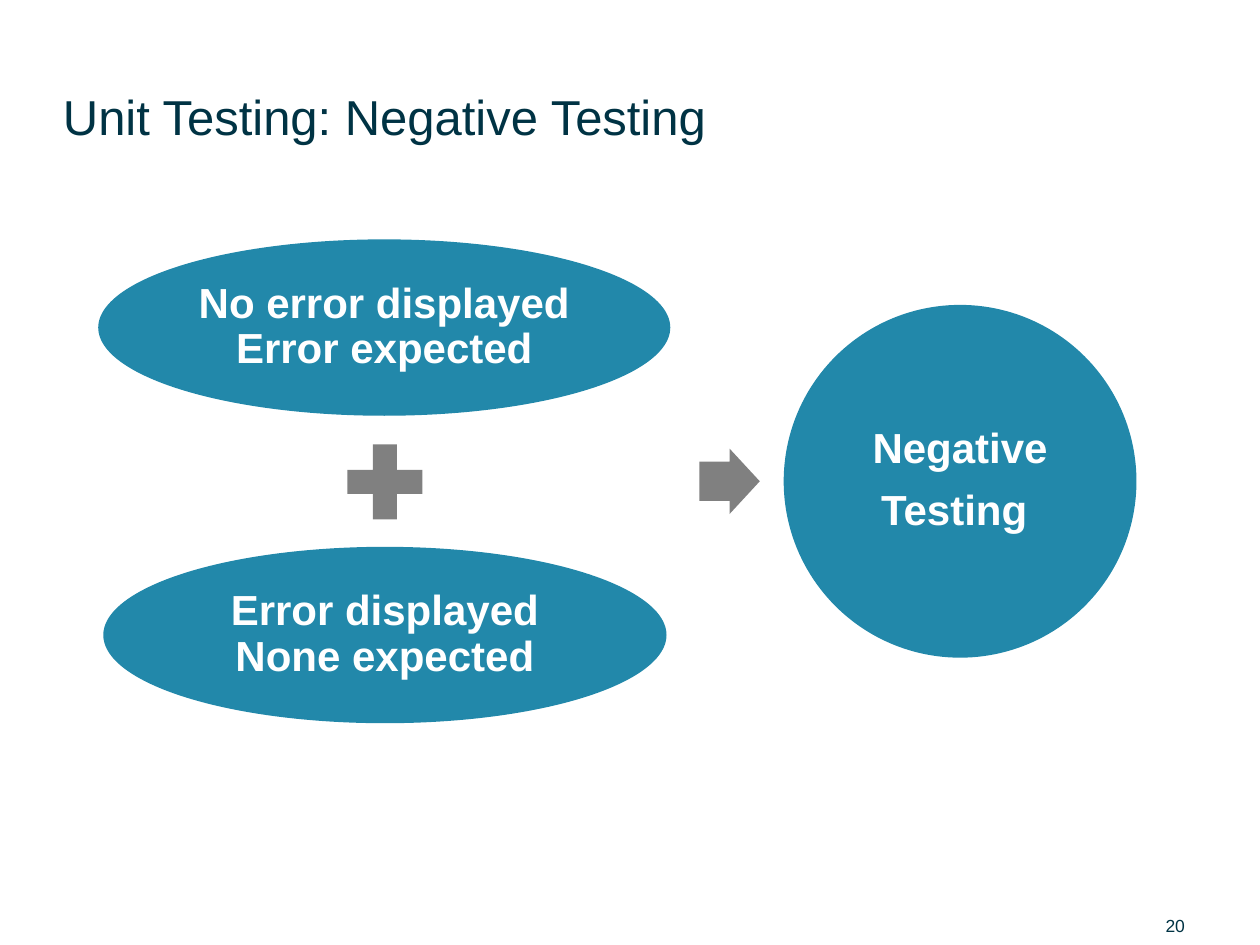
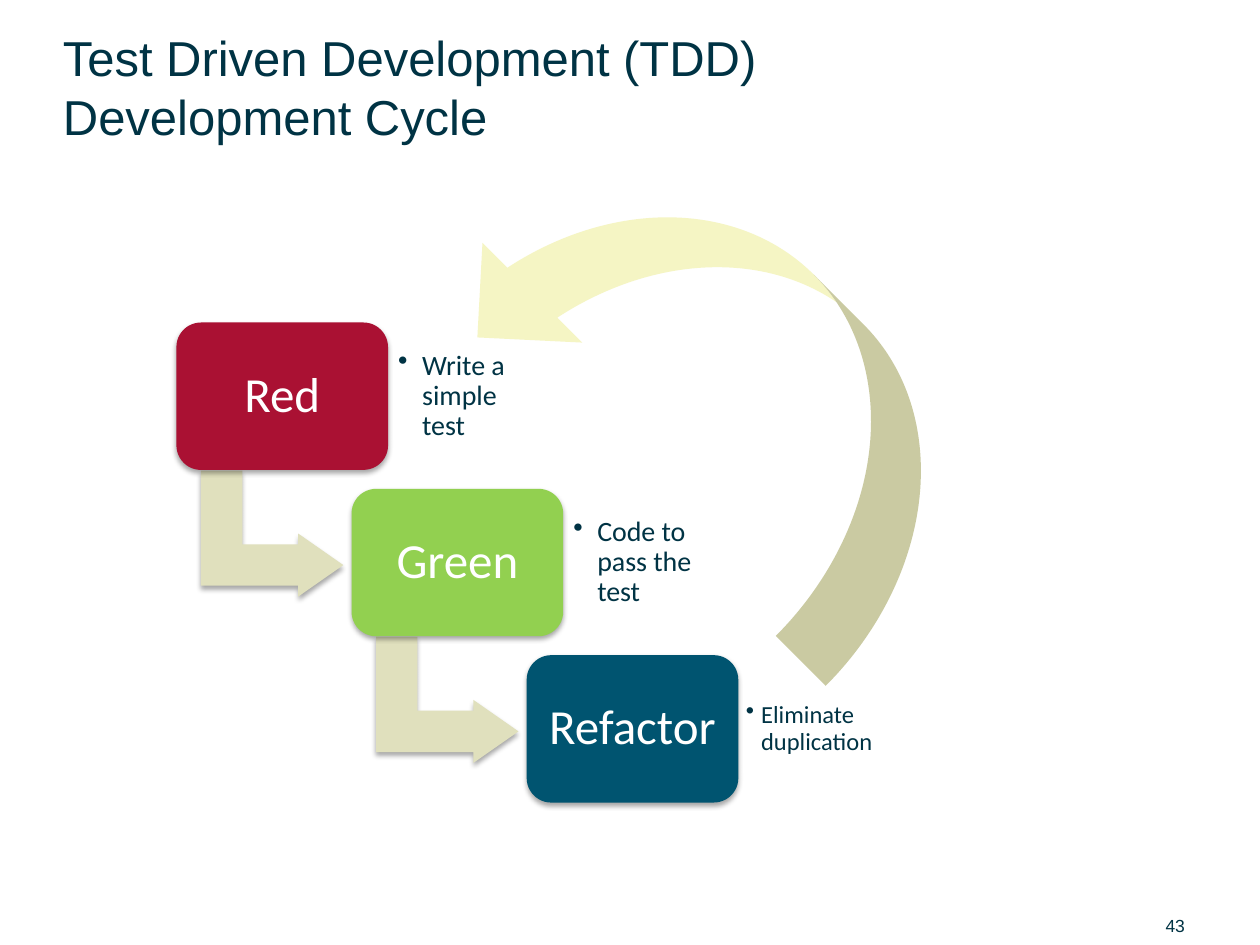
import pptx
import pptx.dml.color
import pptx.enum.shapes
import pptx.enum.text
import pptx.oxml.ns
import pptx.util
from lxml import etree

Inches = pptx.util.Inches
Pt = pptx.util.Pt
RGBColor = pptx.dml.color.RGBColor
Shape = pptx.enum.shapes.MSO_SHAPE
Align = pptx.enum.text.PP_ALIGN
Anchor = pptx.enum.text.MSO_ANCHOR
qn = pptx.oxml.ns.qn

INK = RGBColor(0x00, 0x33, 0x44)
WHITE = RGBColor(0xFF, 0xFF, 0xFF)
TEAL = RGBColor(0x22, 0x88, 0xAA)
GRAY = RGBColor(0x80, 0x80, 0x80)
SAND = RGBColor(0xE0, 0xE0, 0xBD)
CREAM = RGBColor(0xF4, 0xF4, 0xBC)
RED = RGBColor(0xAA, 0x11, 0x33)
GREEN = RGBColor(0x92, 0xD0, 0x50)
BLUE = RGBColor(0x00, 0x54, 0x70)


class Deck:
    """Holds the presentation, its style and the slide being filled."""

    heading_font = "Arial"
    diagram_font = "Calibri"

    def __init__(self):
        self.presentation = pptx.Presentation()
        self.presentation.slide_width = Inches(10)
        self.presentation.slide_height = Inches(7.5)
        self.slide = None

    def start_slide(self, title, number):
        self.slide = self.presentation.slides.add_slide(self.presentation.slide_layouts[6])
        self.text_box(0.5, 0.2, 9, 0.95, [title], 28)
        self.text_box(9.25, 7.15, 0.69, 0.28, [number], 10)

    def set_text(self, shape, paragraphs, size, font, color, bold=False, align=Align.LEFT,
                 anchor=Anchor.MIDDLE, inset=0.0, line_spacing=None, space_after=0.0):
        """Fill the shape with paragraphs; a newline inside one becomes a line break."""
        frame = shape.text_frame
        frame.word_wrap = True
        frame.vertical_anchor = anchor
        frame.margin_left = frame.margin_right = Inches(inset)
        frame.margin_top = frame.margin_bottom = Inches(inset)
        for index, text in enumerate(paragraphs):
            paragraph = frame.add_paragraph() if index else frame.paragraphs[0]
            paragraph.alignment = align
            paragraph.space_after = Pt(space_after)
            if line_spacing:
                paragraph.line_spacing = line_spacing
            for line_index, line in enumerate(text.split("\n")):
                if line_index:
                    paragraph.add_line_break()
                run = paragraph.add_run()
                run.text = line
                run.font.name = font
                run.font.size = Pt(size)
                run.font.bold = bold
                run.font.color.rgb = color

    def text_box(self, left, top, width, height, paragraphs, size):
        box = self.slide.shapes.add_textbox(
            Inches(left), Inches(top), Inches(width), Inches(height))
        self.set_text(box, paragraphs, size, self.heading_font, INK, anchor=Anchor.BOTTOM)

    def bullet(self, left, top, width, height, text, size, indent, inset):
        box = self.slide.shapes.add_textbox(
            Inches(left), Inches(top), Inches(width), Inches(height))
        self.set_text(box, [text], size, self.diagram_font, INK, inset=inset,
                      line_spacing=0.9, space_after=2.5)
        properties = box.text_frame.paragraphs[0]._p.get_or_add_pPr()
        properties.set("marL", str(Inches(indent)))
        properties.set("indent", str(-Inches(indent)))
        etree.SubElement(properties, qn("a:buChar"), char="•")

    def shape(self, kind, left, top, width, height, fill, rotation=0, adjustments=()):
        shape = self.slide.shapes.add_shape(
            kind, Inches(left), Inches(top), Inches(width), Inches(height))
        shape.shadow.inherit = False
        shape.fill.solid()
        shape.fill.fore_color.rgb = fill
        shape.line.fill.background()
        shape.rotation = rotation
        for index, value in enumerate(adjustments):
            shape.adjustments[index] = value
        return shape

    def ellipse(self, left, top, width, height, paragraphs):
        ellipse = self.shape(Shape.OVAL, left, top, width, height, TEAL)
        self.set_text(ellipse, paragraphs, 24, self.heading_font, WHITE, bold=True,
                      align=Align.CENTER, inset=0.03, line_spacing=0.9, space_after=9.5)

    def step_box(self, left, top, width, height, text, fill):
        box = self.shape(Shape.ROUNDED_RECTANGLE, left, top, width, height, fill,
                         adjustments=[0.167])
        self.add_shadow(box)
        self.set_text(box, [text], 28, self.diagram_font, WHITE, align=Align.CENTER,
                      inset=0.1, line_spacing=0.9, space_after=11)

    def step_arrow(self, left, top):
        arrow = self.shape(Shape.BENT_UP_ARROW, left, top, 1, 1.13, SAND, rotation=90,
                           adjustments=[0.328, 0.25, 0.358])
        self.add_shadow(arrow)

    @staticmethod
    def add_shadow(shape):
        effects = shape._element.spPr.find(qn("a:effectLst"))
        shadow = etree.SubElement(effects, qn("a:outerShdw"), blurRad=str(Pt(3.1)),
                                  dist=str(Pt(1.8)), dir="5400000", rotWithShape="0")
        color = etree.SubElement(shadow, qn("a:srgbClr"), val="000000")
        etree.SubElement(color, qn("a:alpha"), val="35000")

    @staticmethod
    def set_opacity(shape, percent):
        color = shape._element.spPr.find(qn("a:solidFill")).find(qn("a:srgbClr"))
        etree.SubElement(color, qn("a:alpha"), val=str(percent * 1000))


def add_negative_testing(deck):
    deck.start_slide("Unit Testing: Negative Testing", "20")
    deck.ellipse(0.78, 1.9, 4.54, 1.4, ["No error displayed\nError expected"])
    deck.shape(Shape.MATH_PLUS, 2.65, 3.42, 0.81, 0.81, GRAY)
    deck.ellipse(0.82, 4.34, 4.47, 1.4, ["Error displayed\nNone expected"])
    deck.shape(Shape.RIGHT_ARROW, 5.55, 3.56, 0.48, 0.52, GRAY, adjustments=[0.6, 0.5])
    deck.ellipse(6.22, 2.42, 2.8, 2.8, ["Negative", "Testing "])


def add_development_cycle(deck):
    deck.start_slide("Test Driven Development (TDD)\nDevelopment Cycle", "43")
    steps = [
        ("Red", RED, "Write a simple test", 16, 0.19, 0.09),
        ("Green", GREEN, "Code to pass the test", 16, 0.19, 0.09),
        ("Refactor", BLUE, "Eliminate duplication", 14, 0.12, 0.07),
    ]
    for index, (name, fill, action, size, indent, inset) in enumerate(steps):
        left = 1.4 + 1.39 * index
        top = 2.56 + 1.32 * index
        if index < len(steps) - 1:
            deck.step_arrow(left + 0.26, top + 1.11)
        deck.step_box(left, top, 1.68, 1.17, name, fill)
        deck.bullet(left + 1.67, top + 0.11, 1.22, 0.95, action, size, indent, inset)
    return_arrow = deck.shape(Shape.CURVED_UP_ARROW, 3.53, 1.95, 4.47, 2.24, CREAM,
                              rotation=225)
    deck.set_opacity(return_arrow, 88)


def main():
    deck = Deck()
    add_negative_testing(deck)
    add_development_cycle(deck)
    deck.presentation.save("out.pptx")


if __name__ == "__main__":
    main()
